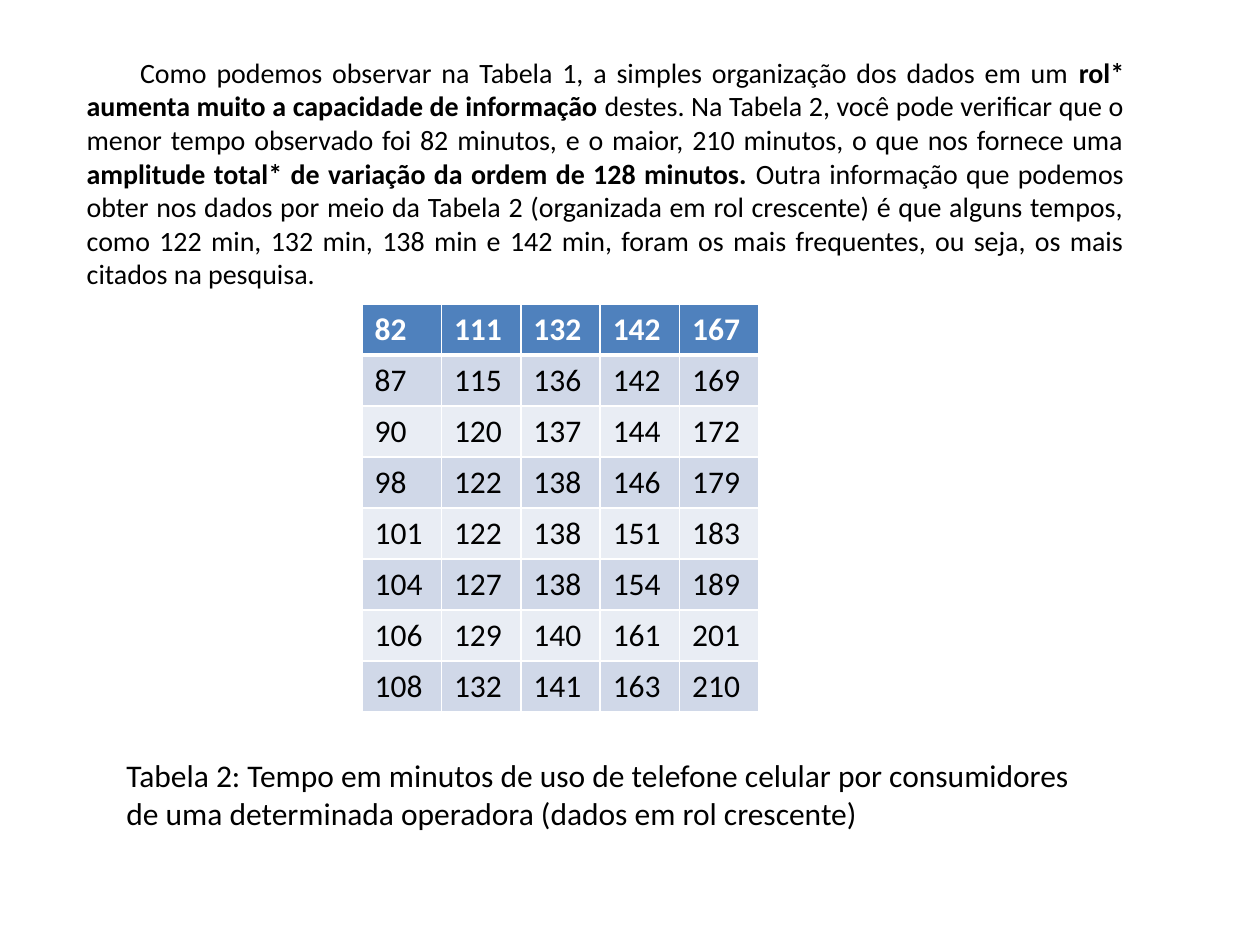
from dataclasses import dataclass

from lxml import etree
from pptx import Presentation
from pptx import util as u
from pptx.dml import color
from pptx.enum import text
from pptx.oxml import ns


@dataclass(frozen=True)
class Theme:
    font: str = "Calibri"
    body_size: int = 16
    large_size: int = 18
    ink: str = "000000"
    paper: str = "FFFFFF"
    header: str = "4F81BD"
    bands: tuple = ("D0D8E8", "E9EDF4")


THEME = Theme()

EXPLANATION = [
    ("Como podemos observar na Tabela 1, a simples organização dos dados em um ", False),
    ("rol* aumenta muito a capacidade de informação ", True),
    ("destes. Na Tabela 2, você pode verificar que o menor tempo observado foi "
     "82 minutos, e o maior, 210 minutos, o que nos fornece uma ", False),
    ("amplitude total* de variação da ordem de 128 minutos. ", True),
    ("Outra informação que podemos obter nos dados por meio da Tabela 2 "
     "(organizada em rol crescente) é que alguns tempos, como 122 min, 132 min, "
     "138 min e 142 min, foram os mais frequentes, ou seja, os mais citados na "
     "pesquisa.", False),
]

CAPTION = ("Tabela 2: Tempo em minutos de uso de telefone celular por consumidores\n"
           "de uma determinada operadora (dados em rol crescente)")

SORTED_MINUTES = [
    82, 87, 90, 98, 101, 104, 106, 108,
    111, 115, 120, 122, 122, 127, 129, 132,
    132, 136, 137, 138, 138, 138, 140, 141,
    142, 142, 144, 146, 151, 154, 161, 163,
    167, 169, 172, 179, 183, 189, 201, 210,
]
ROWS, COLUMNS = 8, 5


def style_run(run, size, ink=THEME.ink, bold=False):
    run.font.name = THEME.font
    run.font.size = u.Pt(size)
    run.font.bold = bold
    run.font.color.rgb = color.RGBColor.from_string(ink)


def add_explanation(slide, left, top, width, height):
    frame = slide.shapes.add_textbox(*map(u.Pt, (left, top, width, height))).text_frame
    frame.word_wrap = True
    frame.margin_top = u.Pt(5.6)
    paragraph = frame.paragraphs[0]
    paragraph.alignment = text.PP_ALIGN.JUSTIFY
    paragraph._p.get_or_add_pPr().set("indent", str(u.Pt(30.5)))
    for words, bold in EXPLANATION:
        run = paragraph.add_run()
        run.text = words
        style_run(run, THEME.body_size, bold=bold)


def add_caption(slide, left, top, width, height):
    frame = slide.shapes.add_textbox(*map(u.Pt, (left, top, width, height))).text_frame
    frame.word_wrap = False
    frame.text = CAPTION
    for paragraph in frame.paragraphs:
        style_run(paragraph.runs[0], THEME.large_size)


def set_borders(cell, widths):
    properties = cell._tc.get_or_add_tcPr()
    for position, (side, width) in enumerate(widths.items()):
        border = etree.Element(ns.qn(f"a:{side}"), w=str(u.Pt(width)))
        fill = etree.SubElement(border, ns.qn("a:solidFill"))
        etree.SubElement(fill, ns.qn("a:srgbClr"), val=THEME.paper)
        properties.insert(position, border)


def fill_cell(cell, minutes, row):
    is_header = row == 0
    cell.text = str(minutes)
    style_run(cell.text_frame.paragraphs[0].runs[0], THEME.large_size,
              THEME.paper if is_header else THEME.ink, is_header)
    cell.fill.solid()
    background = THEME.header if is_header else THEME.bands[(row - 1) % 2]
    cell.fill.fore_color.rgb = color.RGBColor.from_string(background)
    set_borders(cell, {"lnL": 1, "lnR": 1, "lnT": 3 if row == 1 else 1,
                       "lnB": 3 if is_header else 1})


def add_minutes_table(slide, left, top, column_width, row_height):
    """Fill the sorted minutes down each column in turn."""
    size = (column_width * COLUMNS, row_height * ROWS)
    table = slide.shapes.add_table(ROWS, COLUMNS, *map(u.Pt, (left, top, *size))).table
    for index, minutes in enumerate(SORTED_MINUTES):
        column, row = divmod(index, ROWS)
        fill_cell(table.cell(row, column), minutes, row)


def main():
    presentation = Presentation()
    presentation.slide_width, presentation.slide_height = u.Pt(720), u.Pt(540)
    slide = presentation.slides.add_slide(presentation.slide_layouts[6])
    add_explanation(slide, 42.5, 26, 607, 145.4)
    add_minutes_table(slide, 206.9, 173.8, 45.36, 29.16)
    add_caption(slide, 65.2, 428.4, 560, 51)
    presentation.save("out.pptx")


if __name__ == "__main__":
    main()
